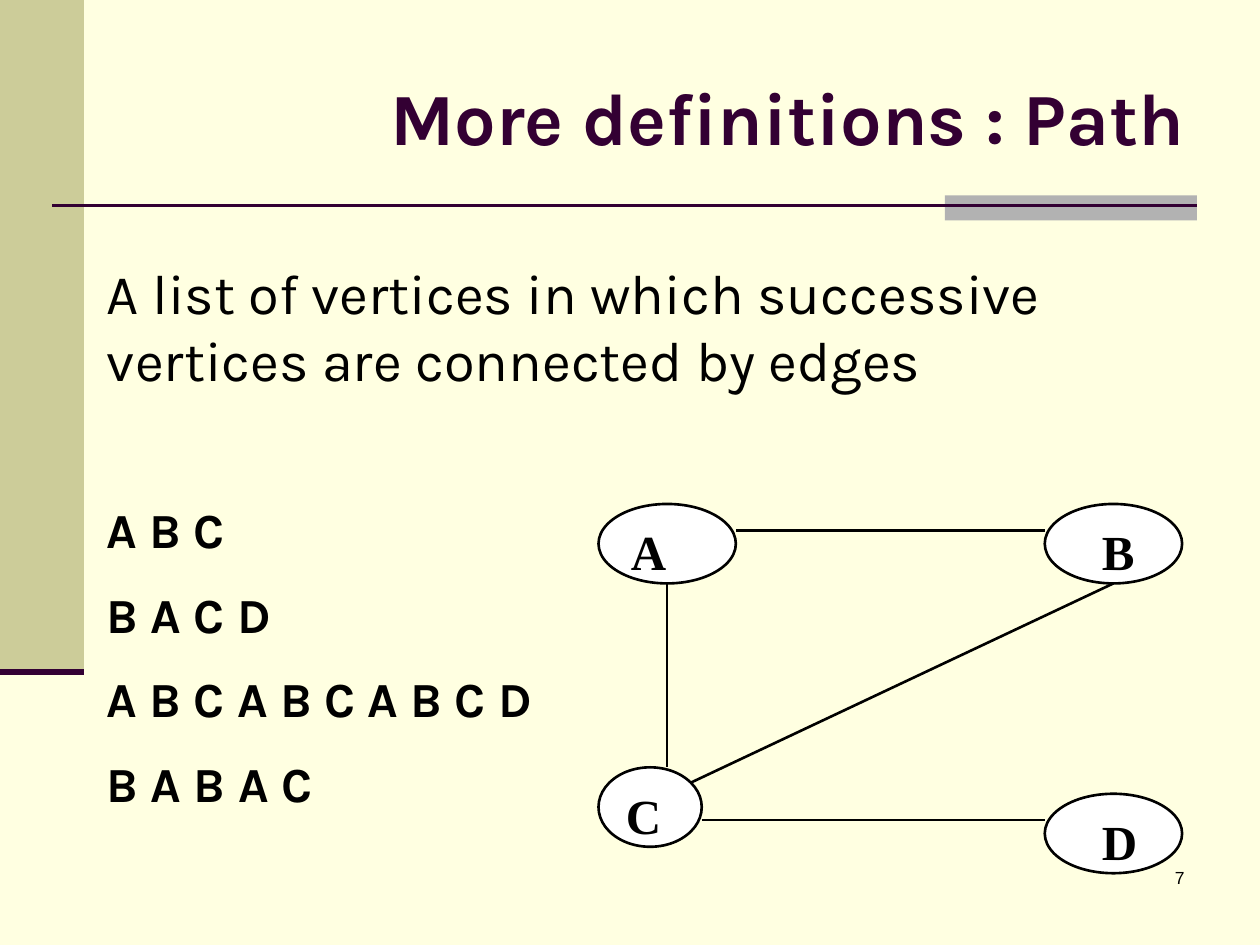
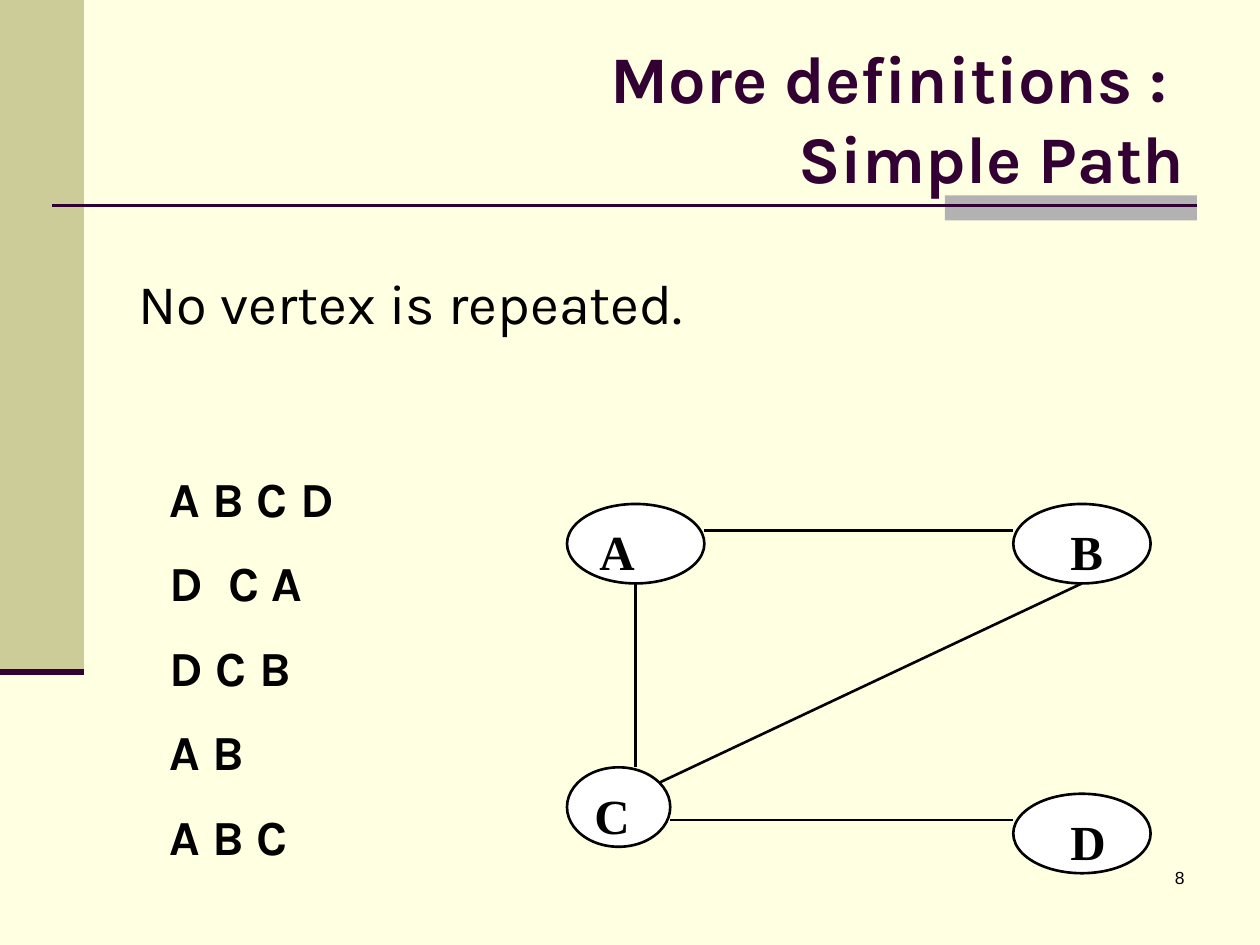
import dataclasses

import lxml.etree
import pptx
import pptx.dml.color
import pptx.enum.shapes
import pptx.enum.text
import pptx.oxml.ns
import pptx.util

Pt = pptx.util.Pt
Color = pptx.dml.color.RGBColor.from_string
Shapes = pptx.enum.shapes.MSO_SHAPE
Align = pptx.enum.text.PP_ALIGN
Anchor = pptx.enum.text.MSO_ANCHOR
AutoSize = pptx.enum.text.MSO_AUTO_SIZE


@dataclasses.dataclass(frozen=True)
class Theme:
    background: str = "FFFFE1"
    side_band: str = "CCCC99"
    accent_bar: str = "B2B2B2"
    dark: str = "330033"
    text: str = "000000"
    node: str = "FFFFFF"
    heading_font: str = "Karla"
    node_font: str = "Times New Roman"
    number_font: str = "Arial"
    definition_size: float = 32
    list_size: float = 28
    number_size: float = 10
    line_width: float = 1.5
    rule_width: float = 3.5
    list_gap: float = 14.7


THEME = Theme()
SLIDE_SIZE = (720, 540)
TITLE_BOX = (72, 21.6, 612, 90)
NUMBER_BOX = (534, 492, 150, 36)


# Basic parts
def add_filled(slide, kind, box, fill, line=None):
    shape = slide.shapes.add_shape(kind, *map(Pt, box))
    shape.shadow.inherit = False
    shape.fill.solid()
    shape.fill.fore_color.rgb = Color(fill)
    if line:
        shape.line.color.rgb = Color(line)
        shape.line.width = Pt(THEME.line_width)
    else:
        shape.line.fill.background()
    return shape


def add_line(slide, start, end, color, width=THEME.line_width):
    line = slide.shapes.add_connector(
        pptx.enum.shapes.MSO_CONNECTOR.STRAIGHT, *map(Pt, (*start, *end)))
    line.line.color.rgb = Color(color)
    line.line.width = Pt(width)
    properties = line.element.find(pptx.oxml.ns.qn("p:spPr"))
    lxml.etree.SubElement(properties, pptx.oxml.ns.qn("a:effectLst"))
    return line


def format_paragraph(paragraph, font, size, color=THEME.text, bold=False,
                     alignment=Align.LEFT):
    paragraph.alignment = alignment
    paragraph.font.name = font
    paragraph.font.size = Pt(size)
    paragraph.font.bold = bold
    paragraph.font.color.rgb = Color(color)


def add_text(slide, box, lines, font, size, auto_size=AutoSize.SHAPE_TO_FIT_TEXT,
             gap=0, **style):
    frame = slide.shapes.add_textbox(*map(Pt, box)).text_frame
    frame.word_wrap = True
    frame.auto_size = auto_size
    frame.text = "\n".join(lines)
    for paragraph in frame.paragraphs:
        format_paragraph(paragraph, font, size, **style)
        paragraph.space_before = Pt(gap)


# Shared backdrop: drawn once, then moved behind the layout's placeholders
def build_backdrop(layout, slide):
    layout.background.fill.solid()
    layout.background.fill.fore_color.rgb = Color(THEME.background)
    parts = [
        add_filled(slide, Shapes.RECTANGLE, (0, 0, 48, 384), THEME.side_band),
        add_filled(slide, Shapes.RECTANGLE, (540, 111.6, 144, 14.4), THEME.accent_bar),
        add_line(slide, (30, 117.6), (684, 117.6), THEME.dark),
        add_line(slide, (0, 384), (48, 384), THEME.dark, THEME.rule_width),
    ]
    for index, part in enumerate(parts):
        part.element.xpath(".//p:cNvPr")[0].set("id", str(20 + index))
        layout.shapes.element.insert(2 + index, part.element)


def place_title(slide, box, text, size):
    title = slide.shapes.title
    title.left, title.top, title.width, title.height = map(Pt, box)
    frame = title.text_frame
    frame.text = text
    frame.word_wrap = True
    frame.auto_size = AutoSize.NONE
    frame.vertical_anchor = Anchor.MIDDLE
    format_paragraph(frame.paragraphs[0], THEME.heading_font, size, THEME.dark,
                     bold=True, alignment=Align.RIGHT)


# Graph of four vertices, placed from its top left corner
def add_graph(slide, left, top):
    wide, narrow, height = 78.5, 59, 45.4
    right_column, row_c, row_d = 255, 150.5, 165.6
    edge_drop, label_shift = 15, 14
    middle = wide / 2

    def edge(start, end):
        add_line(slide, (left + start[0], top + start[1]),
                 (left + end[0], top + end[1]), THEME.text)

    # The B to C edge runs behind the vertices
    edge((right_column + middle, height), (middle, row_d))

    for label, x, y, width, shift in (
            ("A", 0, 0, wide, 0),
            ("B", right_column, 0, wide, label_shift),
            ("C", 0, row_c, narrow, 0),
            ("D", right_column, row_d, wide, label_shift)):
        vertex = add_filled(slide, Shapes.OVAL, (left + x, top + y, width, height),
                            THEME.node, THEME.text)
        frame = vertex.text_frame
        frame.text = label
        frame.vertical_anchor = Anchor.TOP
        frame.margin_left = Pt(7.2 + shift)
        format_paragraph(frame.paragraphs[0], THEME.node_font, THEME.list_size, bold=True)

    edge((wide, edge_drop), (right_column, edge_drop))
    edge((middle, height), (middle, row_c))
    edge((narrow, row_d + edge_drop), (right_column, row_d + edge_drop))


def build_definition_slide(slide, number, title, title_size, definition,
                           definition_box, paths, paths_box, graph_corner):
    add_text(slide, NUMBER_BOX, [str(number)], THEME.number_font, THEME.number_size,
             auto_size=AutoSize.NONE, alignment=Align.RIGHT)
    place_title(slide, TITLE_BOX, title, title_size)
    add_text(slide, definition_box, [definition], THEME.heading_font,
             THEME.definition_size)
    add_text(slide, paths_box, paths, THEME.heading_font, THEME.list_size,
             gap=THEME.list_gap, bold=True)
    add_graph(slide, *graph_corner)


presentation = pptx.Presentation()
presentation.slide_width, presentation.slide_height = map(Pt, SLIDE_SIZE)
title_only = presentation.slide_layouts[5]
path_slide = presentation.slides.add_slide(title_only)
build_backdrop(title_only, path_slide)
simple_path_slide = presentation.slides.add_slide(title_only)

build_definition_slide(
    path_slide, 7, "More definitions : Path", 42,
    "A list of vertices in which successive vertices are connected by edges",
    (54, 144, 558, 84),
    ["A B C", "B A C D", "A B C A B C A B C D", "B A B A C"],
    (54, 282, 288, 192), (342, 288))

build_definition_slide(
    simple_path_slide, 8, "More definitions : \vSimple Path", 38,
    "No vertex is repeated.",
    (72, 150, 582, 45),
    ["A B C D", "D  C A", "D C B", "A B", "A B C"],
    (90, 264, 162, 243), (324, 288))

presentation.save("out.pptx")
